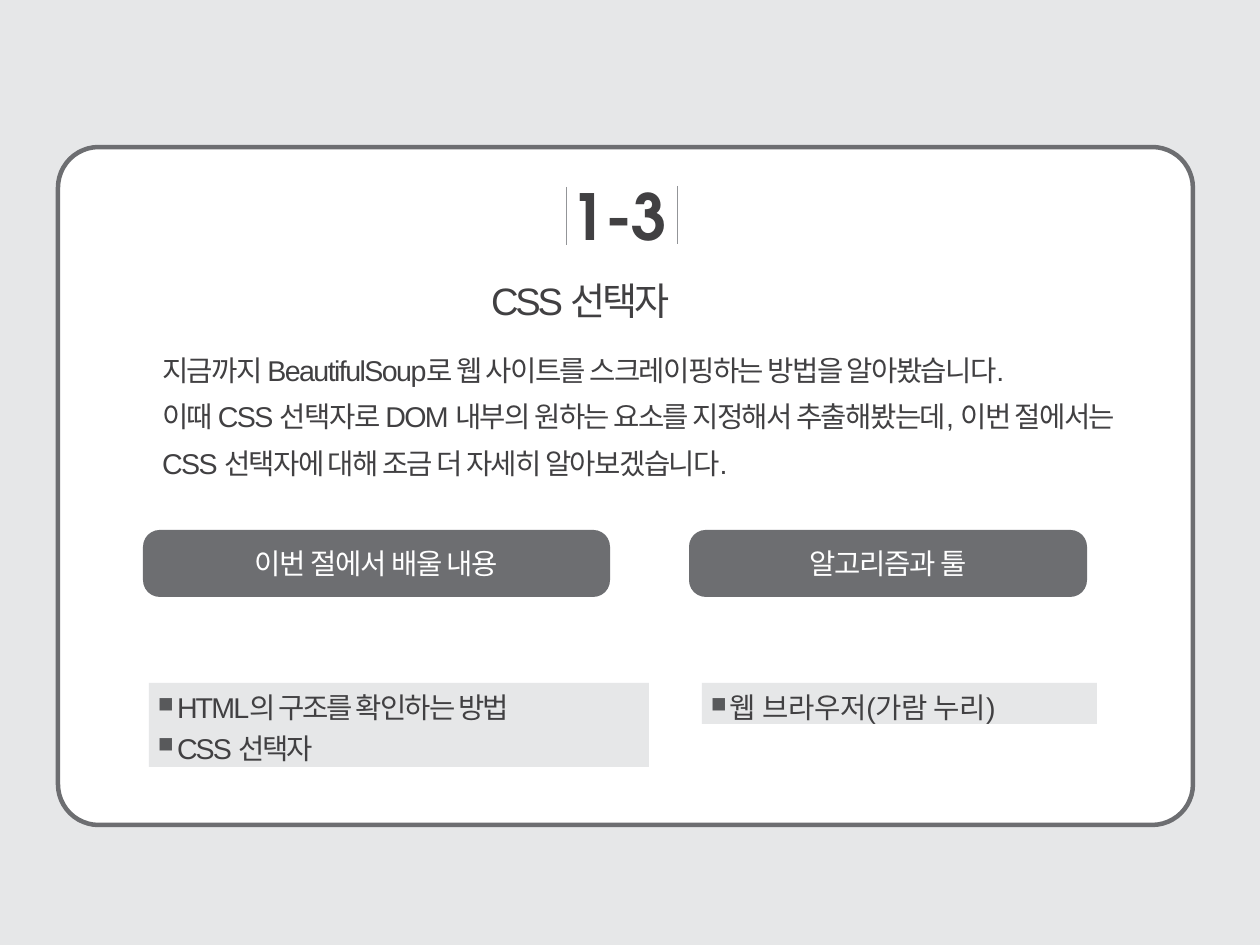
from lxml.etree import SubElement
from pptx import Presentation
from pptx.dml.color import RGBColor
from pptx.enum.shapes import MSO_CONNECTOR, MSO_SHAPE
from pptx.enum.text import MSO_ANCHOR, MSO_AUTO_SIZE, PP_ALIGN
from pptx.oxml.ns import qn
from pptx.util import Pt

PX = 7993
PAPER, WHITE, SLATE, INK, RULE, MARK = (
    "E6E7E8", "FFFFFF", "6D6E71", "414042", "939598", "58595B")

TITLE = "CSS 선택자"
NUMBER = "1-3"
INTRO = [
    "지금까지 BeautifulSoup로 웹 사이트를 스크레이핑하는 방법을 알아봤습니다.",
    "이때 CSS 선택자로 DOM 내부의 원하는 요소를 지정해서 추출해봤는데, "
    "이번 절에서는 CSS 선택자에 대해 조금 더 자세히 알아보겠습니다.",
]
CARD = (58, 147, 1135, 678)
NUMBER_RULES = [(566, 187), (677, 186)]
RULE_HEIGHT = 58
HEADING_TOP, HEADING_HEIGHT = 530, 67
LIST_TOP, LIST_INSET = 683, 7
BULLET_LEFT, BULLET_HANG = 28, 19
SECTIONS = [
    {"heading": "이번 절에서 배울 내용", "heading_span": (143, 467),
     "items": ["HTML의 구조를 확인하는 방법", "CSS 선택자"],
     "list_box": (149, 500, 84), "spacing": -1.2},
    {"heading": "알고리즘과 툴", "heading_span": (689, 398),
     "items": ["웹 브라우저(가람 누리)"],
     "list_box": (702, 395, 41), "spacing": -0.2},
]


def color(value):
    """Turn a hex string into a colour."""
    return RGBColor.from_string(value)


def px(*lengths):
    """Turn pixel lengths into EMU."""
    return [length * PX for length in lengths]


def add_panel(page, kind, bounds, fill, line=None, radius=0):
    """Add a flat filled shape with an optional outline and corner radius."""
    panel = page.shapes.add_shape(kind, *px(*bounds))
    panel.shadow.inherit = False
    panel.fill.solid()
    panel.fill.fore_color.rgb = color(fill)
    if line:
        panel.line.color.rgb = color(line)
        panel.line.width = Pt(2.83)
    else:
        panel.line.fill.background()
    if radius:
        panel.adjustments[0] = round(radius / bounds[3], 2)
    return panel


def add_rule(page, left, top):
    """Add a thin vertical line beside the section number."""
    rule = page.shapes.add_connector(
        MSO_CONNECTOR.STRAIGHT, *px(left, top, left, top + RULE_HEIGHT))
    rule.line.color.rgb = color(RULE)
    rule.line.width = Pt(0.5)
    SubElement(rule.element.spPr, qn("a:effectLst"))


def add_bullet(para):
    """Give a paragraph a small square bullet with a hanging indent."""
    props = para._p.get_or_add_pPr()
    props.set("marL", str(BULLET_LEFT * PX))
    props.set("indent", str(-BULLET_HANG * PX))
    tint = SubElement(props, qn("a:buClr"))
    SubElement(tint, qn("a:srgbClr"), val=MARK)
    SubElement(props, qn("a:buSzPct"), val="75000")
    SubElement(props, qn("a:buChar"), char="■")


def write(box, lines, size=18, font="Arial", ink=INK, spacing=0, bold=False,
          align=PP_ALIGN.LEFT, anchor=MSO_ANCHOR.TOP, inset=0,
          bullet=False, leading=None, gap=0):
    """Fill a shape with one formatted paragraph per line."""
    frame = box.text_frame
    frame.word_wrap = True
    frame.auto_size = MSO_AUTO_SIZE.NONE
    frame.vertical_anchor = anchor
    frame.margin_left = frame.margin_right = frame.margin_bottom = 0
    frame.margin_top = inset * PX
    for index, line in enumerate(lines):
        para = frame.add_paragraph() if index else frame.paragraphs[0]
        if bullet:
            add_bullet(para)
        para.alignment = align
        if leading:
            para.line_spacing = leading
        if index and gap:
            para.space_before = Pt(gap)
        span = para.add_run()
        span.text = line
        span.font.size = Pt(size)
        span.font.name = font
        span.font.bold = bold
        span.font.color.rgb = color(ink)
        span._r.get_or_add_rPr().set("spc", str(round(spacing * 100)))


def add_section(page, section):
    """Add a heading bar and the bullet list below it."""
    left, width = section["heading_span"]
    bar = add_panel(page, MSO_SHAPE.ROUNDED_RECTANGLE,
                    (left, HEADING_TOP, width, HEADING_HEIGHT), SLATE, radius=17)
    write(bar, [section["heading"]], font="Noto Sans Mono", ink=WHITE,
          spacing=-0.7, align=PP_ALIGN.CENTER, anchor=MSO_ANCHOR.MIDDLE)
    left, width, height = section["list_box"]
    panel = add_panel(page, MSO_SHAPE.RECTANGLE,
                      (left, LIST_TOP, width, height), PAPER)
    write(panel, section["items"], spacing=section["spacing"],
          inset=LIST_INSET, bullet=True, gap=4)


def main():
    """Build and save the section opener."""
    deck = Presentation()
    deck.slide_width, deck.slide_height = px(1260, 945)
    page = deck.slides.add_slide(deck.slide_layouts[5])
    page.background.fill.solid()
    page.background.fill.fore_color.rgb = color(PAPER)

    add_panel(page, MSO_SHAPE.ROUNDED_RECTANGLE, CARD, WHITE, SLATE, radius=41)
    for left, top in NUMBER_RULES:
        add_rule(page, left, top)
    number = page.shapes.add_textbox(*px(571, 177, 100, 78))
    write(number, [NUMBER], size=40, font="TeX Gyre Adventor",
          spacing=-0.4, bold=True)

    title = page.shapes.title
    title.left, title.top, title.width, title.height = px(491, 277, 280, 46)
    write(title, [TITLE], size=24, spacing=-2)
    page.shapes.element.append(title.element)

    intro = page.shapes.add_textbox(*px(162, 341, 963, 135))
    write(intro, INTRO, spacing=-1, leading=1.35)
    for section in SECTIONS:
        add_section(page, section)
    deck.save("out.pptx")


if __name__ == "__main__":
    main()
